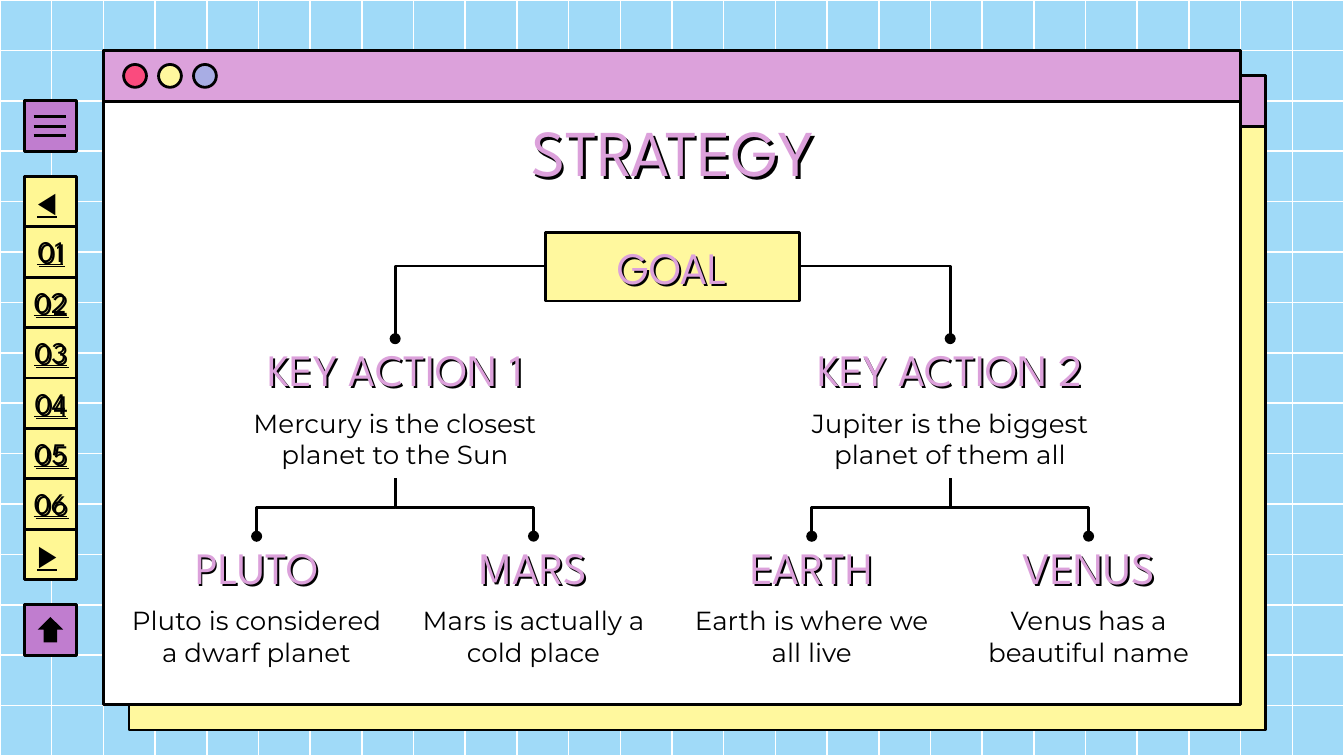
from dataclasses import dataclass

from lxml import etree
from pptx import Presentation
from pptx.dml.color import RGBColor
from pptx.enum.shapes import MSO_CONNECTOR, MSO_SHAPE
from pptx.enum.text import MSO_ANCHOR, MSO_AUTO_SIZE, PP_ALIGN
from pptx.oxml.ns import qn
from pptx.util import Inches, Pt

RECT, OVAL, UP_ARROW = MSO_SHAPE.RECTANGLE, MSO_SHAPE.OVAL, MSO_SHAPE.UP_ARROW
STRAIGHT, ELBOW = MSO_CONNECTOR.STRAIGHT, MSO_CONNECTOR.ELBOW
TOP, MIDDLE, BOTTOM = MSO_ANCHOR.TOP, MSO_ANCHOR.MIDDLE, MSO_ANCHOR.BOTTOM
LEFT, CENTER = PP_ALIGN.LEFT, PP_ALIGN.CENTER
NO_FIT = MSO_AUTO_SIZE.NONE


@dataclass(frozen=True)
class TextStyle:
    font: str
    size: float
    color: str
    underline: bool = False
    shadow: float = 0


@dataclass(frozen=True)
class Theme:
    sky: str = "A0DAF8"
    white: str = "FFFFFF"
    black: str = "000000"
    pink: str = "DCA1DB"
    yellow: str = "FFF89E"
    button_yellow: str = "FFF794"
    purple: str = "C07DCF"
    red: str = "FA4B7E"
    blue: str = "A8ADE4"
    outline: float = 1.5
    grid_line: float = 0.81
    title: TextStyle = TextStyle("League Spartan", 35, "DCA1DB", shadow=2.25)
    heading: TextStyle = TextStyle("League Spartan", 24, "DCA1DB", shadow=1.5)
    body: TextStyle = TextStyle("Montserrat", 14, "000000")
    number: TextStyle = TextStyle("League Spartan", 16, "000000", True, 1.5)
    arrow: TextStyle = TextStyle("Arial", 16, "000000", True)


THEME = Theme()
WIDTH = 10
HEIGHT = WIDTH * 9 / 16
ROWS, COLUMNS = 15, 26
ROW_HEIGHT = HEIGHT / ROWS
BUTTON_LEFT, BUTTON_WIDTH = 0.18, 0.39


def rgb(color):
    return RGBColor.from_string(color)


def apply(target, values):
    for name, value in values.items():
        setattr(target, name, value)


def place(shape, box):
    apply(shape, dict(zip(("left", "top", "width", "height"), map(Inches, box))))


def write(shape, text, style, align=CENTER, anchor=MIDDLE, insets=(0, 0.1, 0, 0.1)):
    frame = shape.text_frame
    apply(frame, {"text": text, "word_wrap": True, "auto_size": NO_FIT,
                  "vertical_anchor": anchor})
    margins = ("margin_left", "margin_top", "margin_right", "margin_bottom")
    apply(frame, dict(zip(margins, map(Inches, insets))))
    paragraph = frame.paragraphs[0]
    paragraph.alignment = align
    font = paragraph.runs[0].font
    apply(font, {"name": style.font, "size": Pt(style.size),
                 "underline": style.underline})
    font.color.rgb = rgb(style.color)
    if style.shadow:
        shape.fill.background()
        effects = etree.SubElement(shape._element.spPr, qn("a:effectLst"))
        shadow = etree.SubElement(effects, qn("a:outerShdw"), algn="bl", rotWithShape="0",
                                  dist=str(Pt(style.shadow)), dir="2700000")
        etree.SubElement(shadow, qn("a:srgbClr"), val=THEME.black)


def add_text(slide, box, text, style, **layout):
    write(slide.shapes.add_textbox(*map(Inches, box)), text, style, **layout)


def add_block(slide, box, fill, kind=RECT, outlined=True):
    block = slide.shapes.add_shape(kind, *map(Inches, box))
    block.shadow.inherit = False
    block.fill.solid()
    block.fill.fore_color.rgb = rgb(fill)
    if outlined:
        block.line.color.rgb = rgb(THEME.black)
        block.line.width = Pt(THEME.outline)
    else:
        block.line.fill.background()
    return block


def add_line(slide, start, end, color=THEME.black, width=THEME.outline, kind=STRAIGHT):
    line = slide.shapes.add_connector(kind, *map(Inches, (*start, *end)))
    line.line.color.rgb = rgb(color)
    line.line.width = Pt(width)
    etree.SubElement(line._element.spPr, qn("a:effectLst"))
    return line


def add_branch(slide, box, preset, dot, turns=None):
    left, top, width, height = box
    branch = add_line(slide, (left, top), (left + width, top + height), kind=ELBOW)
    properties = branch._element.spPr
    properties.find(qn("a:prstGeom")).set("prst", preset)
    for name, value in (turns or {}).items():
        properties.find(qn("a:xfrm")).set(name, value)
    etree.SubElement(properties.find(qn("a:ln")), qn(dot), type="oval")


def add_upright_branch(slide, left, top, width, height, preset, dot, **flip):
    box = (left + (width - height) / 2, top + (height - width) / 2, height, width)
    add_branch(slide, box, preset, dot, {"rot": "16200000", **flip})


def add_grid(slide):
    border = add_block(slide, (0, 0, WIDTH, HEIGHT), THEME.sky)
    border.fill.background()
    border.line.color.rgb = rgb(THEME.white)
    border.line.width = Pt(THEME.grid_line)
    style = {"color": THEME.white, "width": THEME.grid_line}
    for row in range(1, ROWS):
        y = row * ROW_HEIGHT
        add_line(slide, (0, y), (WIDTH, y), **style)
    for column in range(1, COLUMNS):
        x = column * WIDTH / COLUMNS
        add_line(slide, (x, 0), (x, HEIGHT), **style)


def add_window(slide, left, top, page):
    add_block(slide, (left, top, 8.46, 4.87), page)
    add_block(slide, (left, top, 8.46, 0.38), THEME.pink)


def add_button(slide, top, fill):
    return add_block(slide, (BUTTON_LEFT, top, BUTTON_WIDTH, ROW_HEIGHT), fill)


def add_menu(slide):
    add_button(slide, 2 * ROW_HEIGHT, THEME.purple)
    for y in (0.87, 0.94, 1.01):
        add_line(slide, (0.25, y), (0.49, y))
    labels = ["◀", *(f"{number:02}" for number in range(1, 7)), "▶"]
    for index, label in enumerate(labels):
        top = 3.5 * ROW_HEIGHT + index * ROW_HEIGHT
        button = add_button(slide, top, THEME.button_yellow)
        if label.isdigit():
            add_text(slide, (BUTTON_LEFT, top + 0.06, BUTTON_WIDTH, 0.24),
                     label, THEME.number)
        else:
            write(button, label, THEME.arrow, align=LEFT, insets=(0.1,) * 4)
    add_button(slide, 12 * ROW_HEIGHT, THEME.purple)
    home = add_block(slide, (0.28, 4.59, 0.19, 0.19), THEME.black, UP_ARROW, False)
    home.adjustments[0] = 0.52


def add_topic(slide, center, top, width, heading, detail):
    left = center - width / 2
    add_text(slide, (left, top, width, 0.41), heading, THEME.heading,
             insets=(0, 0.14, 0, 0.1))
    add_text(slide, (left, top + 0.41, width, 0.63), detail, THEME.body, anchor=TOP)


def add_tree(slide):
    actions = [
        (2.94, "KEY ACTION 1", "Mercury is the closest planet to the Sun",
         [("PLUTO", "Pluto is considered a dwarf planet"),
          ("MARS", "Mars is actually a cold place")]),
        (7.07, "KEY ACTION 2", "Jupiter is the biggest planet of them all",
         [("EARTH", "Earth is where we all live"),
          ("VENUS", "Venus has a beautiful name")]),
    ]
    spread = 1.03
    add_upright_branch(slide, 2.94, 1.98, 1.12, 0.54, "bentConnector2", "a:headEnd")
    add_branch(slide, (5.95, 1.98, 1.12, 0.54), "bentConnector2", "a:tailEnd")
    add_block(slide, (4.06, 1.73, 1.89, 0.51), THEME.yellow)
    add_text(slide, (4.06, 1.78, 1.89, 0.41), "GOAL", THEME.heading)
    for center, action, detail, planets in actions:
        drop = (3.56, spread, 0.43, "bentConnector3")
        add_upright_branch(slide, center - spread, *drop, "a:headEnd")
        add_upright_branch(slide, center, *drop, "a:tailEnd", flipH="1")
        add_topic(slide, center, 2.52, 2.5, action, detail)
        for side, (planet, fact) in zip((-1, 1), planets):
            add_topic(slide, center + side * spread, 3.99, 1.89, planet, fact)


def add_title(slide, text):
    title = slide.shapes.title
    place(title, (0.79, 0.76, 8.43, 0.75))
    write(title, text, THEME.title, anchor=BOTTOM, insets=(0.1,) * 4)
    slide.shapes._spTree.append(title._element)


def main():
    deck = Presentation()
    apply(deck, {"slide_width": Inches(WIDTH), "slide_height": Inches(HEIGHT)})
    slide = deck.slides.add_slide(deck.slide_layouts[5])
    slide.background.fill.solid()
    slide.background.fill.fore_color.rgb = rgb(THEME.sky)
    add_grid(slide)
    add_window(slide, 0.96, 1.5 * ROW_HEIGHT, THEME.yellow)
    add_window(slide, 0.77, ROW_HEIGHT, THEME.white)
    for index, color in enumerate((THEME.red, THEME.yellow, THEME.blue)):
        add_block(slide, (0.92 + index * 0.26, 0.48, 0.17, 0.17), color, OVAL)
    add_tree(slide)
    add_menu(slide)
    add_title(slide, "STRATEGY")
    deck.save("out.pptx")


if __name__ == "__main__":
    main()
